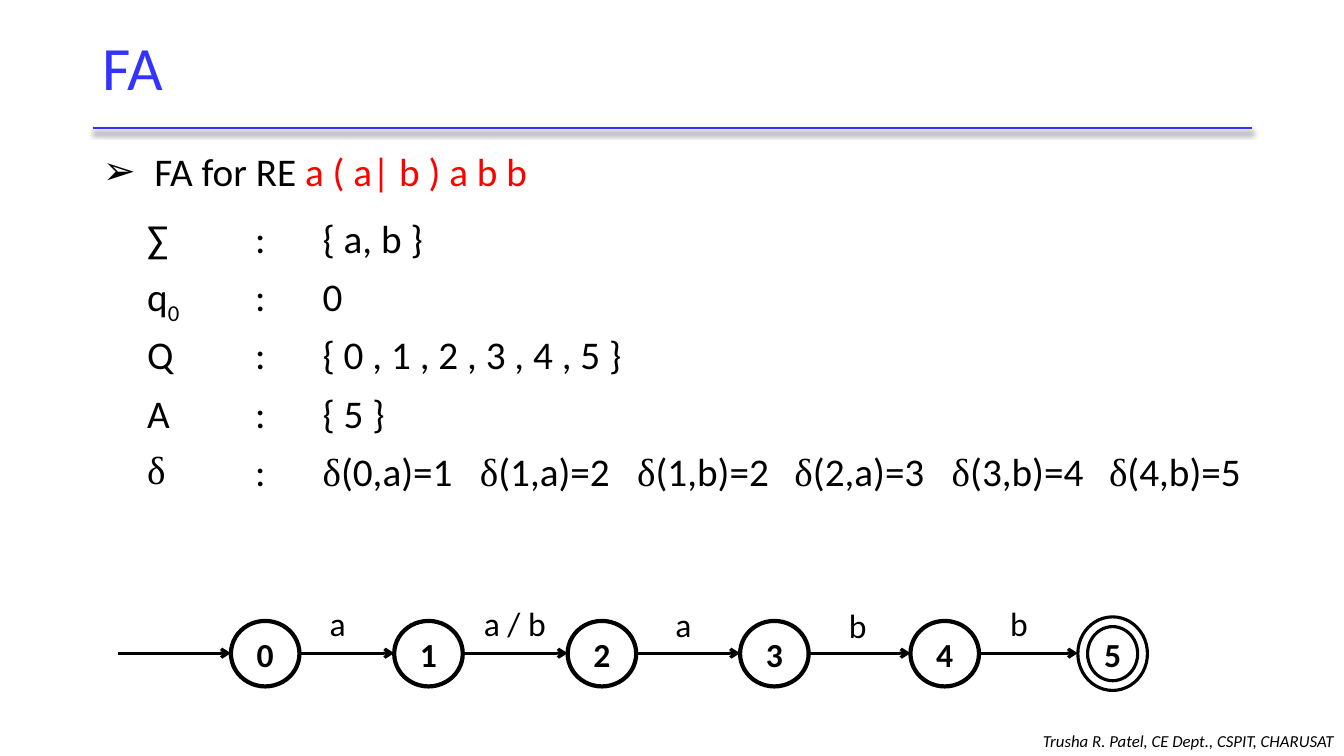
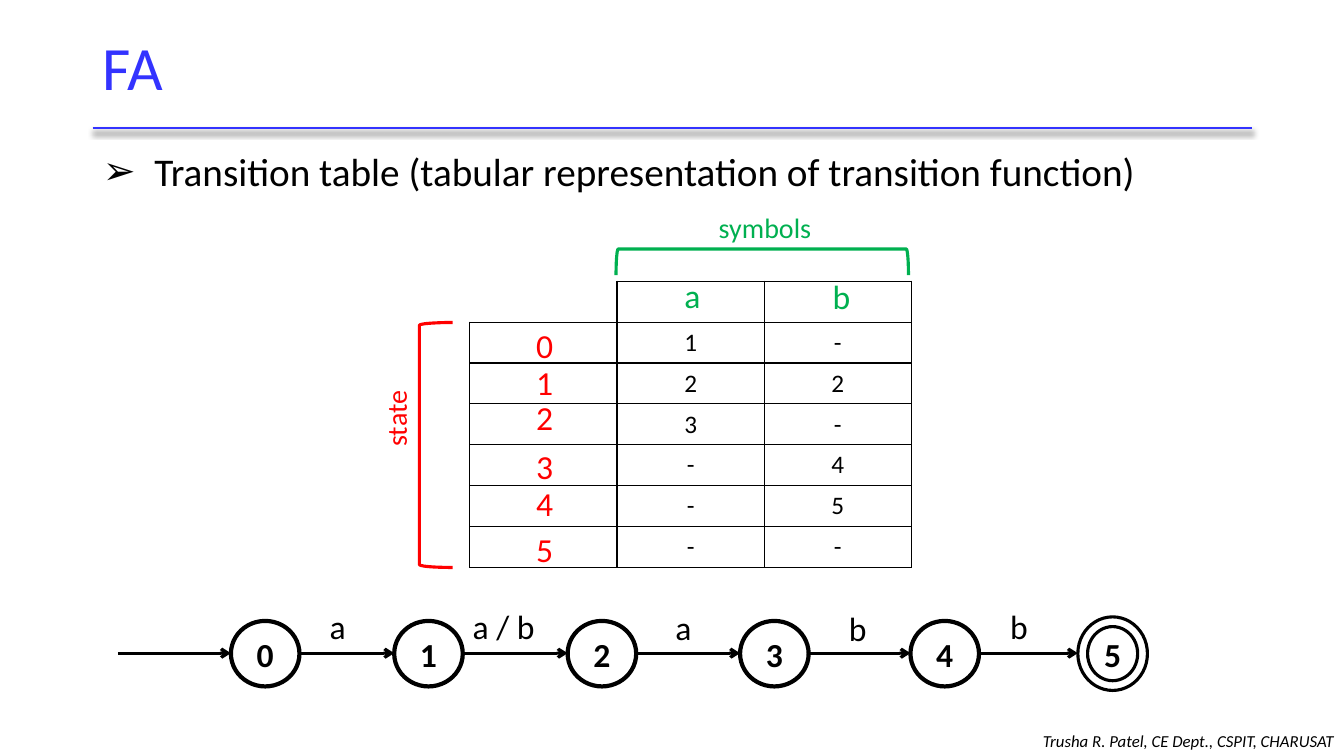
from itertools import groupby

from lxml.etree import SubElement
from pptx import Presentation
from pptx.dml.color import RGBColor
from pptx.enum.shapes import MSO_CONNECTOR, MSO_SHAPE
from pptx.enum.text import MSO_ANCHOR, MSO_AUTO_SIZE, PP_ALIGN
from pptx.oxml.ns import qn
from pptx.util import Inches, Pt

BLUE, BLACK, RED, GREEN = "3333FF", "000000", "FF0000", "00B050"
FONT, GREEK_FONT = "Calibri", "Times New Roman"
NO_TABLE_STYLE = "{2D5ABB26-0587-4C30-8999-92F81FD0307C}"
STATE_LEFTS = [2.29, 3.91, 5.63, 7.34, 9.03, 10.69]
STATE_WIDTH, AXIS_Y = 0.68, 6.48
CELL_WIDTH = 1.46
DEFINITION = [
    ("∑", "", "{ a, b }"),
    ("q", "0", "0"),
    ("Q", "", "{ 0 , 1 , 2 , 3 , 4 , 5 }"),
    ("A", "", "{ 5 }"),
    ("δ", "", "δ(0,a)=1\tδ(1,a)=2\tδ(1,b)=2\tδ(2,a)=3\tδ(3,b)=4\tδ(4,b)=5"),
]
TRANSITIONS = ["1-", "22", "3-", "-4", "-5", "--"]
STATE_LABEL_TOPS = [3.17, 3.54, 3.89, 4.37, 4.74, 5.2]


def rgb(color):
    return RGBColor.from_string(color)


def box(*lengths):
    return [Inches(length) for length in lengths]


def apply(target, **values):
    for name, value in values.items():
        setattr(target, name, value)


def add_text(p, text, size, color=BLACK, **font):
    for greek, chars in groupby(text, lambda ch: ch == "δ"):
        r = p.add_run()
        r.text = "".join(chars)
        apply(r.font, size=Pt(size), name=GREEK_FONT if greek else FONT, **font)
        r.font.color.rgb = rgb(color)
    return p


def add_label(s, left, top, width, height, text, size, color=BLACK, **font):
    tf = s.shapes.add_textbox(*box(left, top, width, height)).text_frame
    tf.word_wrap = False
    add_text(tf.paragraphs[0], text, size, color, **font)
    return tf


def add_outline(s, kind, at, color, weight):
    sp = s.shapes.add_shape(kind, *box(*at))
    sp.shadow.inherit = False
    sp.fill.background()
    sp.line.color.rgb = rgb(color)
    sp.line.width = Pt(weight)
    return sp


def add_line(s, x1, x2, y, color, weight):
    line = s.shapes.add_connector(MSO_CONNECTOR.STRAIGHT, *box(x1, y, x2, y))
    line.line.color.rgb = rgb(color)
    line.line.width = Pt(weight)
    effects = SubElement(line._element.spPr, qn("a:effectLst"))
    return line, effects


def add_arrow(s, x1, x2):
    line, _ = add_line(s, x1, x2, AXIS_Y, BLACK, 2.25)
    SubElement(line.line._get_or_add_ln(), qn("a:tailEnd"), type="arrow")


def add_rule(s):
    _, effects = add_line(s, 0.92, 12.42, 1.27, BLUE, 2)
    shadow = SubElement(effects, qn("a:outerShdw"), blurRad=str(Pt(4)),
                        dist=str(Pt(3)), dir="5400000", rotWithShape="0")
    color = SubElement(shadow, qn("a:srgbClr"), val=BLACK)
    SubElement(color, qn("a:alpha"), val="40000")


def place(sp, at, anchor):
    apply(sp, **dict(zip(("left", "top", "width", "height"), box(*at))))
    apply(sp.text_frame, vertical_anchor=anchor, auto_size=MSO_AUTO_SIZE.NONE)
    p = sp.text_frame.paragraphs[0]
    apply(p, alignment=PP_ALIGN.LEFT, line_spacing=0.9)
    return p


def add_slide(prs, title, bullet_runs):
    s = prs.slides.add_slide(prs.slide_layouts[1])
    add_rule(s)
    p = place(s.shapes.title, (0.92, 0.2, 11.5, 1), MSO_ANCHOR.MIDDLE)
    add_text(p, title, 44, BLUE)
    p = place(s.placeholders[1], (0.92, 1.46, 11.5, 5.29), MSO_ANCHOR.TOP)
    p.space_before = Pt(10)
    pPr = p._p.get_or_add_pPr()
    pPr.set("marL", str(Inches(0.51)))
    pPr.set("indent", str(-Inches(0.51)))
    SubElement(pPr, qn("a:buChar"), char="➢")
    for text, color in bullet_runs:
        add_text(p, text, 28, color)
    tf = add_label(s, 8.83, 7.1, 4.5, 0.4,
                   "Trusha R. Patel, CE Dept., CSPIT, CHARUSAT", 12, italic=True)
    apply(tf, word_wrap=True, vertical_anchor=MSO_ANCHOR.BOTTOM)
    tf.paragraphs[0].alignment = PP_ALIGN.RIGHT
    return s


def add_state(s, number, left, final):
    if final:
        sp = add_outline(s, MSO_SHAPE.DONUT, (left, 6.12, 0.69, 0.73), BLACK, 2.25)
        sp.adjustments[0] = 0.14
    else:
        sp = add_outline(s, MSO_SHAPE.OVAL, (left, 6.16, STATE_WIDTH, 0.65), BLACK, 3)
    tf = sp.text_frame
    apply(tf, vertical_anchor=MSO_ANCHOR.MIDDLE, margin_left=0, margin_right=0)
    p = add_text(tf.paragraphs[0], str(number), 24, bold=True)
    p.alignment = PP_ALIGN.CENTER


def add_automaton(s, label_top, choice_left):
    last = len(STATE_LEFTS) - 1
    starts = [1.17] + [left + STATE_WIDTH for left in STATE_LEFTS]
    for number, left in enumerate(STATE_LEFTS):
        add_state(s, number, left, number == last)
        add_arrow(s, starts[number], left)
    labels = [("a", 3.17, 0, 0.43), ("a / b", choice_left, 0, 0.99),
              ("a", 6.6, 0.01, 0.43), ("b", 8.32, 0.02, 0.43), ("b", 9.92, 0, 0.43)]
    for text, left, drop, width in labels:
        add_label(s, left, label_top + drop, width, 0.5, text, 24)


def add_plain_table(s, rows, widths, left, top, height):
    at = box(left, top, sum(widths), height)
    table = s.shapes.add_table(rows, len(widths), *at).table
    apply(table, first_row=False, horz_banding=False)
    table._tbl.tblPr.find(qn("a:tableStyleId")).text = NO_TABLE_STYLE
    for column, width in zip(table.columns, widths):
        column.width = Inches(width)
    for cell in table.iter_cells():
        cell.fill.background()
    return table


def set_borders(cell, sides):
    tcPr = cell._tc.get_or_add_tcPr()
    for index, side in enumerate(sides):
        ln = tcPr.makeelement(qn(f"a:ln{side}"), {"w": str(Pt(1))})
        fill = SubElement(ln, qn("a:solidFill"))
        SubElement(fill, qn("a:srgbClr"), val=BLACK)
        tcPr.insert(index, ln)


def add_definition(s):
    for row, (symbol, subscript, value) in enumerate(DEFINITION):
        table = add_plain_table(s, 1, [1.07, 0.67, 9.75], 1.36, 2.09 + 0.58 * row, 0.57)
        name, colon, content = (cell.text_frame.paragraphs[0]
                                for cell in table.iter_cells())
        add_text(name, symbol, 28)
        if subscript:
            add_text(name, subscript, 28)
            name.runs[-1].font._element.set("baseline", "-25000")
        add_text(colon, ":", 28)
        if "\t" in value:
            tabs = SubElement(content._p.get_or_add_pPr(), qn("a:tabLst"))
            for stop in range(1, value.count("\t") + 1):
                SubElement(tabs, qn("a:tab"), pos=str(Inches(1.56 * stop)), algn="l")
        add_text(content, value, 28)


def add_transition_grid(s):
    grid = add_plain_table(s, len(TRANSITIONS) + 1, [CELL_WIDTH] * 3, 4.66, 2.79, 2.84)
    for index, cell in enumerate(grid.iter_cells()):
        set_borders(cell, "LRTB" if index else "RB")


def add_transition_values(s):
    table = add_plain_table(s, len(TRANSITIONS), [CELL_WIDTH] * 2, 6.12, 3.2, 2.43)
    for cell, value in zip(table.iter_cells(), "".join(TRANSITIONS)):
        p = add_text(cell.text_frame.paragraphs[0], value, 18)
        p.alignment = PP_ALIGN.CENTER


def add_table_labels(s):
    add_outline(s, MSO_SHAPE.LEFT_BRACKET, (4.16, 3.2, 0.33, 2.43), RED, 2.25)
    symbols = add_outline(s, MSO_SHAPE.LEFT_BRACKET, (7.43, 1.15, 0.26, 2.9), GREEN, 2.25)
    symbols.rotation = 90
    add_label(s, 7.03, 2.04, 1.13, 0.44, "symbols", 20, GREEN)
    tf = add_label(s, 3.71, 3.87, 0.54, 0.66, "state", 20, RED)
    tf._txBody.bodyPr.set("vert", "vert270")
    add_label(s, 6.69, 2.68, 0.36, 0.5, "a", 24, GREEN)
    add_label(s, 8.16, 2.69, 0.38, 0.5, "b", 24, GREEN)
    for number, top in enumerate(STATE_LABEL_TOPS):
        add_label(s, 5.22, top, 0.37, 0.5, str(number), 24, RED)


def main():
    prs = Presentation()
    prs.slide_width, prs.slide_height = box(13.33, 7.5)

    s = add_slide(prs, "FA", [("FA for RE ", BLACK), ("a ( a| b ) a b b", RED)])
    add_automaton(s, 5.93, 4.7)
    add_definition(s)

    s = add_slide(prs, "FA", [
        ("Transition table (tabular representation of transition function)", BLACK)])
    add_automaton(s, 5.96, 4.59)
    add_transition_grid(s)
    add_table_labels(s)
    add_transition_values(s)

    prs.save("out.pptx")


if __name__ == "__main__":
    main()
